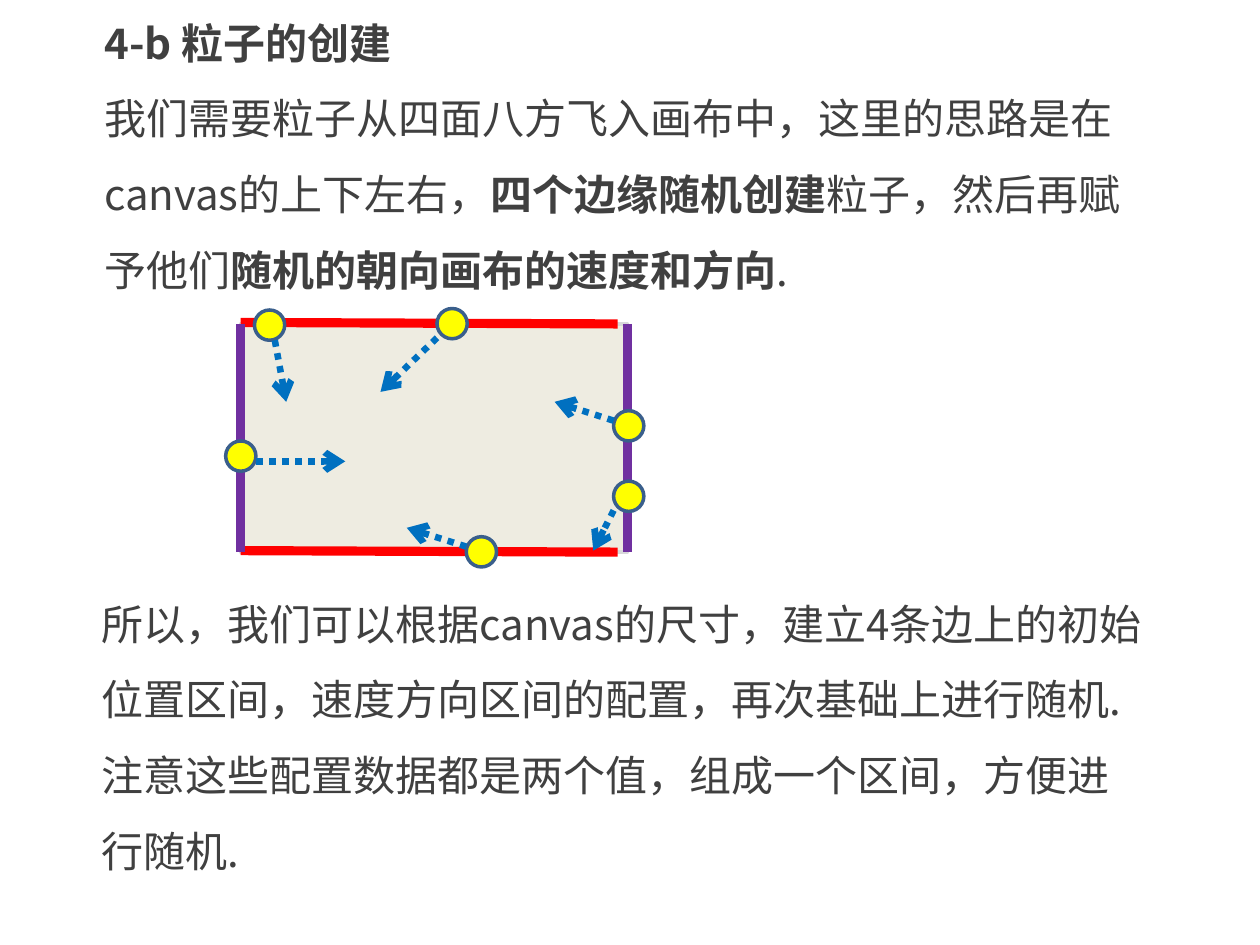
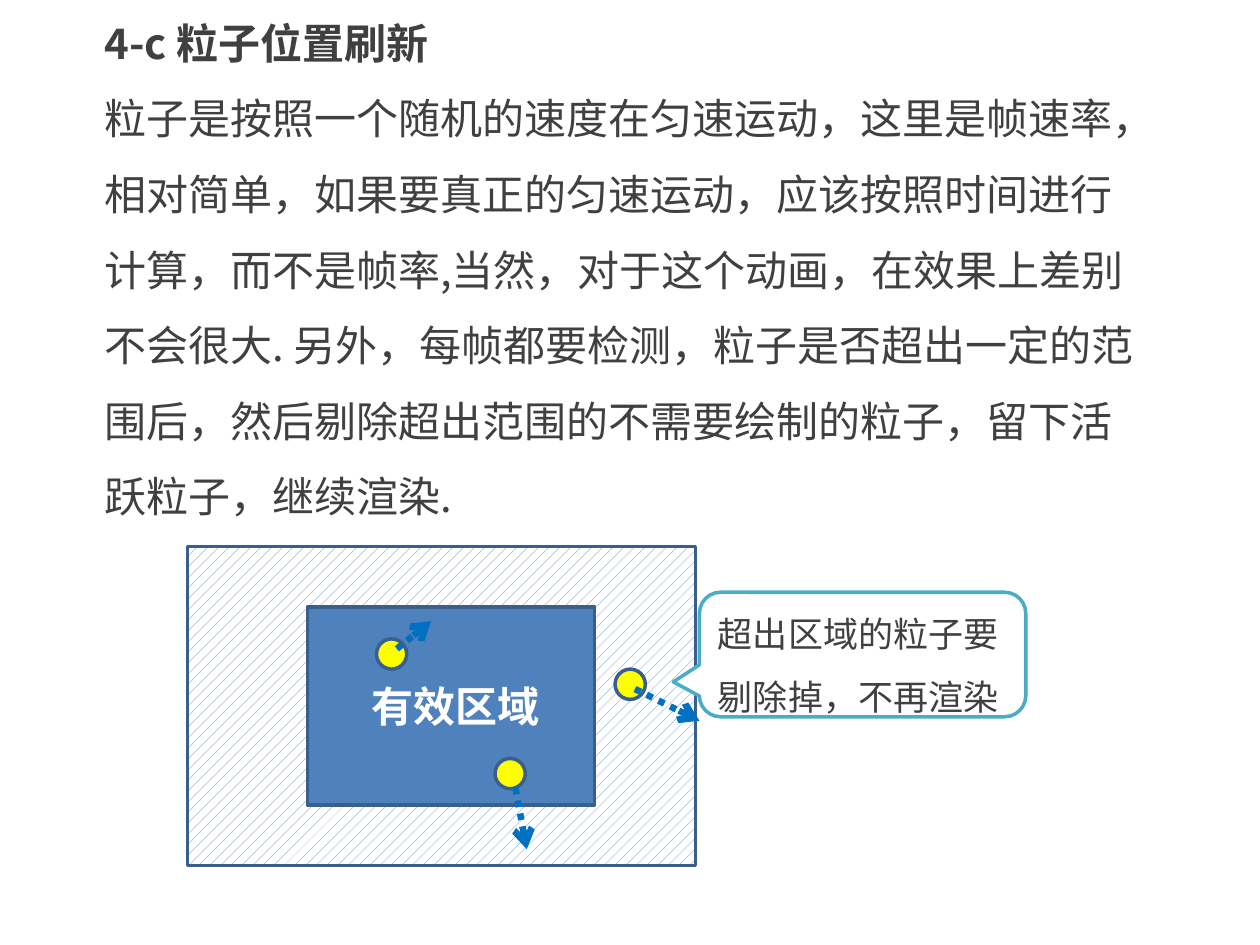
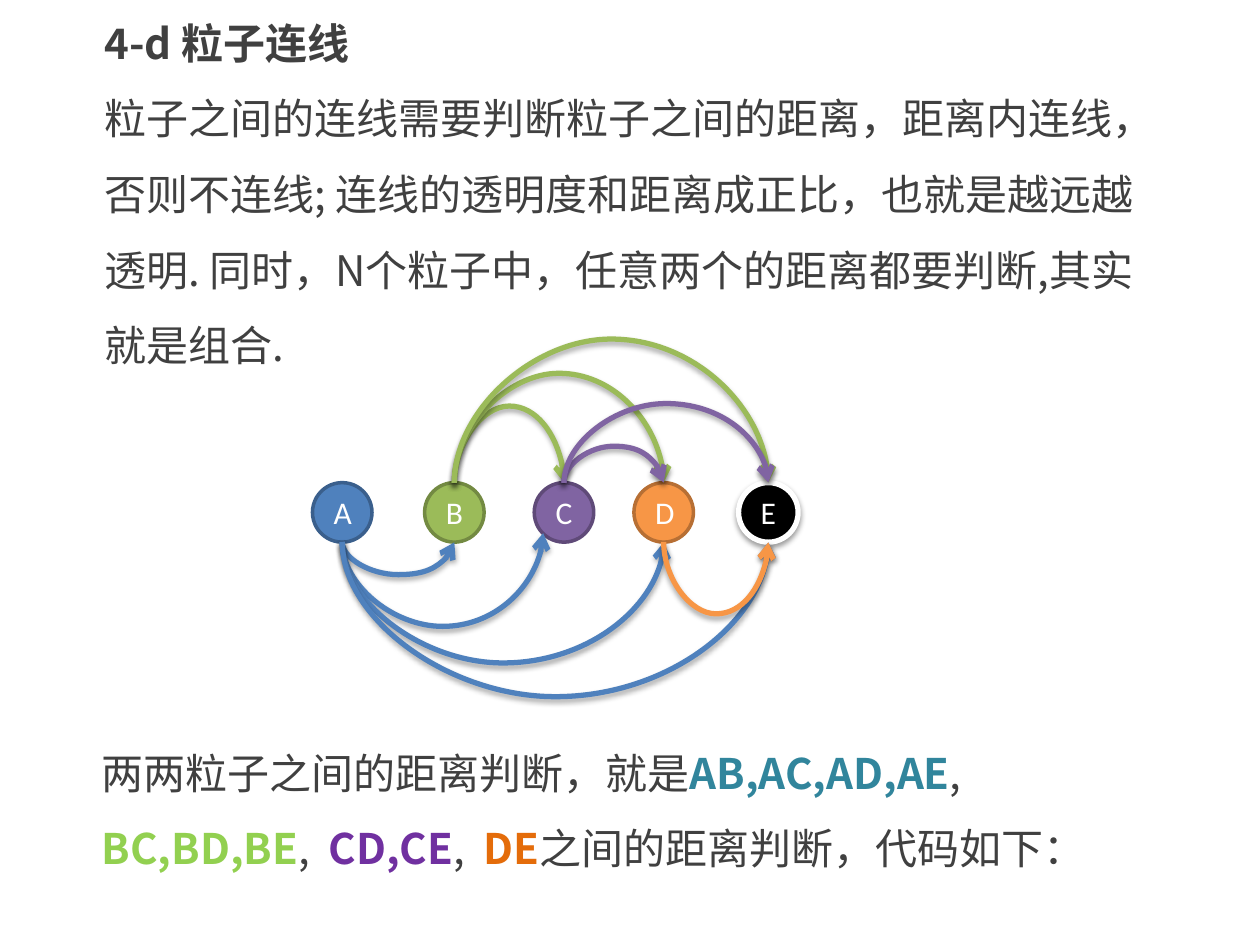
"""Build three slides on creating, refreshing and linking canvas particles."""
from lxml import etree
from pptx import Presentation
from pptx.dml.color import RGBColor
from pptx.enum import dml, shapes, text
from pptx.oxml.ns import qn
from pptx.util import Cm, Pt

GREY = RGBColor(0x40, 0x40, 0x40)
WHITE = RGBColor(0xFF, 0xFF, 0xFF)
BLACK = RGBColor(0x00, 0x00, 0x00)
SAND = RGBColor(0xEE, 0xEC, 0xE1)
SILVER = RGBColor(0xD8, 0xD8, 0xDA)
RED = RGBColor(0xFF, 0x00, 0x00)
PURPLE = RGBColor(0x70, 0x30, 0xA0)
YELLOW = RGBColor(0xFF, 0xFF, 0x00)
ARROW_BLUE = RGBColor(0x00, 0x70, 0xC0)
BLUE = RGBColor(0x4F, 0x81, 0xBD)
DARK_BLUE = RGBColor(0x3A, 0x5F, 0x8C)
AQUA = RGBColor(0x4B, 0xAC, 0xC6)
GREEN = RGBColor(0x9B, 0xBB, 0x59)
DARK_GREEN = RGBColor(0x73, 0x8A, 0x42)
VIOLET = RGBColor(0x80, 0x64, 0xA2)
DARK_VIOLET = RGBColor(0x5F, 0x4A, 0x78)
ORANGE = RGBColor(0xF7, 0x96, 0x46)
DARK_ORANGE = RGBColor(0xB7, 0x6F, 0x34)
TEAL = RGBColor(0x31, 0x85, 0x9C)
LIME = RGBColor(0x92, 0xD0, 0x50)
RUST = RGBColor(0xE4, 0x6C, 0x0A)

CJK = "Noto Sans CJK SC"
LATIN = "Calibri"
LEFT, CENTER = text.PP_ALIGN.LEFT, text.PP_ALIGN.CENTER
RECT, OVAL = shapes.MSO_SHAPE.RECTANGLE, shapes.MSO_SHAPE.OVAL
CALLOUT = shapes.MSO_SHAPE.ROUNDED_RECTANGULAR_CALLOUT
STRAIGHT, CURVE = shapes.MSO_CONNECTOR.STRAIGHT, shapes.MSO_CONNECTOR.CURVE


def write(tf, runs, size=24, color=GREY, name=CJK, spacing=1.5, align=LEFT):
    """Fill a frame with one paragraph; a run is (text, bold, optional colour)."""
    tf.word_wrap = True
    p = tf.paragraphs[0]
    p.alignment = align
    p.line_spacing = spacing
    p.font.size = Pt(size)
    p.font.name = name
    p.font.color.rgb = color
    etree.SubElement(p.font._rPr, qn("a:ea"), typeface=CJK)
    for content, bold, *tint in runs:
        r = p.add_run()
        r.text = content
        r.font.bold = bold
        if tint:
            r.font.color.rgb = tint[0]


def connect(s, kind, ends, color, width, arrow=True, dash=None):
    """Draw a shadowless connector between two points given in centimetres."""
    c = s.shapes.add_connector(kind, *[Cm(v) for v in ends])
    c.line.color.rgb = color
    c.line.width = Pt(width)
    c.line.dash_style = dash
    if arrow:
        etree.SubElement(c.line._get_or_add_ln(), qn("a:tailEnd"), type="arrow")
    etree.SubElement(c._element.spPr, qn("a:effectLst"))
    return c


prs = Presentation()
prs.slide_width, prs.slide_height = Cm(25.4), Cm(19.05)

pages = [
    ("4-b 粒子的创建", 4.88, [
        ("我们需要粒子从四面八方飞入画布中，这里的思路是在canvas的上下左右，", False),
        ("四个边缘随机创建", True),
        ("粒子，然后再赋予他们", False),
        ("随机的朝向画布的速度和方向", True),
        (".", False)]),
    ("4-c 粒子位置刷新", 9.5, [
        ("粒子是按照一个随机的速度在匀速运动，这里是帧速率，相对简单，如果要真正的匀速运动，"
         "应该按照时间进行计算，而不是帧率,当然，对于这个动画，在效果上差别不会很大. "
         "另外，每帧都要检测，粒子是否超出一定的范围后，然后剔除超出范围的不需要绘制的粒子，"
         "留下活跃粒子，继续渲染.", False)]),
    ("4-d 粒子连线", 6.43, [
        ("粒子之间的连线需要判断粒子之间的距离，距离内连线，否则不连线; "
         "连线的透明度和距离成正比，也就是越远越透明. "
         "同时，N个粒子中，任意两个的距离都要判断,其实就是组合.", False)]),
]
for heading, height, body in pages:
    s = prs.slides.add_slide(prs.slide_layouts[5])
    title = s.shapes.title
    title.left, title.top, title.width, title.height = Cm(1.85), Cm(-0.28), Cm(21.59), Cm(1.78)
    title.text_frame.vertical_anchor = text.MSO_ANCHOR.TOP
    title.text_frame.auto_size = text.MSO_AUTO_SIZE.NONE
    write(title.text_frame, [(heading, True)])
    box = s.shapes.add_textbox(Cm(1.85), Cm(1.24), Cm(21.59), Cm(height))
    write(box.text_frame, body)
create, refresh, link = prs.slides

closings = [
    (create, 11.43, 6.4, [
        ("所以，我们可以根据canvas的尺寸，建立4条边上的初始位置区间，速度方向区间的配置，"
         "再次基础上进行随机.注意这些配置数据都是两个值，组成一个区间，方便进行随机.", False)]),
    (link, 14.43, 3.33, [
        ("两两粒子之间的距离判断，就是", False),
        ("AB,AC,AD,AE", True, TEAL), (",  ", False),
        ("BC,BD,BE", True, LIME), (",  ", False),
        ("CD,CE", True, PURPLE), (",  ", False),
        ("DE", True, RUST),
        ("之间的距离判断，代码如下：", False)]),
]
for s, top, height, runs in closings:
    box = s.shapes.add_textbox(Cm(1.8), Cm(top), Cm(21.59), Cm(height))
    write(box.text_frame, runs)

areas = []
for s, kind, x, y, w, h, fill, line in [
    (create, RECT, 4.85, 6.53, 7.8, 4.6, SAND, SILVER),
    (refresh, RECT, 3.78, 11.02, 10.24, 6.43, WHITE, DARK_BLUE),
    (refresh, RECT, 6.2, 12.24, 5.79, 3.99, BLUE, DARK_BLUE),
    (refresh, CALLOUT, 14.1, 11.94, 6.58, 2.51, WHITE, AQUA),
]:
    sp = s.shapes.add_shape(kind, Cm(x), Cm(y), Cm(w), Cm(h))
    sp.shadow.inherit = False
    sp.fill.solid()
    sp.fill.fore_color.rgb = fill
    sp.line.color.rgb = line
    sp.line.width = Pt(2)
    areas.append(sp)
canvas, outer, valid, callout = areas

outer.fill.patterned()
outer.fill.pattern = dml.MSO_PATTERN.PERCENT_20
outer.fill.fore_color.rgb = BLUE
outer.fill.back_color.rgb = WHITE
write(valid.text_frame, [(" 有效区域", True)], 24, WHITE, LATIN, 1.0, CENTER)
for i, value in enumerate((-0.58, 0.22, 0.17)):
    callout.adjustments[i] = value
write(callout.text_frame, [("超出区域的粒子要剔除掉，不再渲染", False)], 20)

for ends, color in [
    ((4.85, 6.5, 12.45, 6.53), RED),
    ((4.85, 11.1, 12.45, 11.13), RED),
    ((4.85, 6.53, 4.85, 11.13), PURPLE),
    ((12.65, 6.53, 12.65, 11.13), PURPLE),
]:
    connect(create, STRAIGHT, ends, color, 5.25, arrow=False)

for s, x, y, velocity in [
    (create, 8.81, 6.22, (8.81, 6.81, 7.67, 7.9)),
    (create, 12.37, 8.28, (12.37, 8.48, 11.18, 8.1)),
    (create, 9.4, 10.82, (9.4, 11.02, 8.2, 10.64)),
    (create, 12.37, 9.7, (12.37, 10.29, 11.96, 11.1)),
    (create, 4.55, 8.89, (5.16, 9.3, 6.96, 9.3)),
    (create, 5.13, 6.25, (5.54, 6.86, 5.77, 8.1)),
    (refresh, 12.4, 13.49, (12.8, 13.89, 14.1, 14.53)),
    (refresh, 9.98, 15.29, (10.39, 15.88, 10.62, 17.12)),
    (refresh, 7.59, 12.88, (8.0, 13.08, 8.69, 12.52)),
]:
    sp = s.shapes.add_shape(OVAL, Cm(x), Cm(y), Cm(0.61), Cm(0.61))
    sp.shadow.inherit = False
    sp.fill.solid()
    sp.fill.fore_color.rgb = YELLOW
    sp.line.color.rgb = DARK_BLUE
    sp.line.width = Pt(2)
    connect(s, STRAIGHT, velocity, ARROW_BLUE, 3.75, dash=dml.MSO_LINE.ROUND_DOT)

NODE, NODE_TOP = 1.2, 9.73
NODE_BOTTOM = NODE_TOP + NODE
nodes = {}
for letter, x, fill, line, width in [
    ("A", 6.9, BLUE, DARK_BLUE, 2),
    ("B", 9.16, GREEN, DARK_GREEN, 2),
    ("C", 11.37, VIOLET, DARK_VIOLET, 2),
    ("D", 13.38, ORANGE, DARK_ORANGE, 2),
    ("E", 15.49, BLACK, WHITE, 3),
]:
    sp = link.shapes.add_shape(OVAL, Cm(x - NODE / 2), Cm(NODE_TOP), Cm(NODE), Cm(NODE))
    sp.shadow.inherit = False
    sp.fill.solid()
    sp.fill.fore_color.rgb = fill
    sp.line.color.rgb = line
    sp.line.width = Pt(width)
    write(sp.text_frame, [(letter, False)], 18, WHITE, LATIN, 1.0, CENTER)
    nodes[letter] = (sp, x, fill)

shadowed = [(nodes["E"][0], 20000, 38000)]
TOP_SITE, LOWER_LEFT_SITE, BOTTOM_SITE = 0, 3, 4
for pair, depth in [
    ("AB", 0.66), ("AC", 1.7), ("AD", 2.44), ("AE", 3.12),
    ("BC", 1.55), ("BD", 2.21), ("BE", 2.9),
    ("CD", 0.74), ("CE", 1.6), ("DE", 1.45),
]:
    start, x1, color = nodes[pair[0]]
    end, x2, _ = nodes[pair[1]]
    below = pair[0] in "AD"
    y1 = y2 = NODE_BOTTOM if below else NODE_TOP
    site = end_site = BOTTOM_SITE if below else TOP_SITE
    if pair == "AC":
        x2, y2, end_site = x2 - 0.42, y2 - 0.18, LOWER_LEFT_SITE
    span, rise = x2 - x1, max(y1 - y2, 0.01)
    c = connect(link, CURVE, (x1, y1, x2, y2), color, 3)
    c.left, c.top = Cm((x1 + x2 - rise) / 2), Cm((y1 + y2 - span) / 2)
    c.width, c.height = Cm(rise), Cm(span)
    xfrm = c._element.spPr.find(qn("a:xfrm"))
    for flip in ("flipH", "flipV"):
        xfrm.attrib.pop(flip, None)
    xfrm.set("rot", "5400000" if below else "16200000")
    if below:
        xfrm.set("flipV", "1")
    if y2 < y1:
        xfrm.set("flipH", "1")
        depth = -depth
    guides = c._element.spPr.find(qn("a:prstGeom")).get_or_add_avLst()
    etree.SubElement(guides, qn("a:gd"), name="adj1", fmla=f"val {round(depth / rise * 100000)}")
    joints = c._element.nvCxnSpPr.cNvCxnSpPr
    etree.SubElement(joints, qn("a:stCxn"), id=str(start.shape_id), idx=str(site))
    etree.SubElement(joints, qn("a:endCxn"), id=str(end.shape_id), idx=str(end_site))
    shadowed.append((c, 23000, 35000))

for sp, distance, alpha in shadowed:
    effects = sp._element.spPr.find(qn("a:effectLst"))
    outer_shadow = etree.SubElement(effects, qn("a:outerShdw"), blurRad="40000",
                                    dist=str(distance), dir="5400000", rotWithShape="0")
    tone = etree.SubElement(outer_shadow, qn("a:srgbClr"), val=str(BLACK))
    etree.SubElement(tone, qn("a:alpha"), val=str(alpha))

prs.save("out.pptx")
